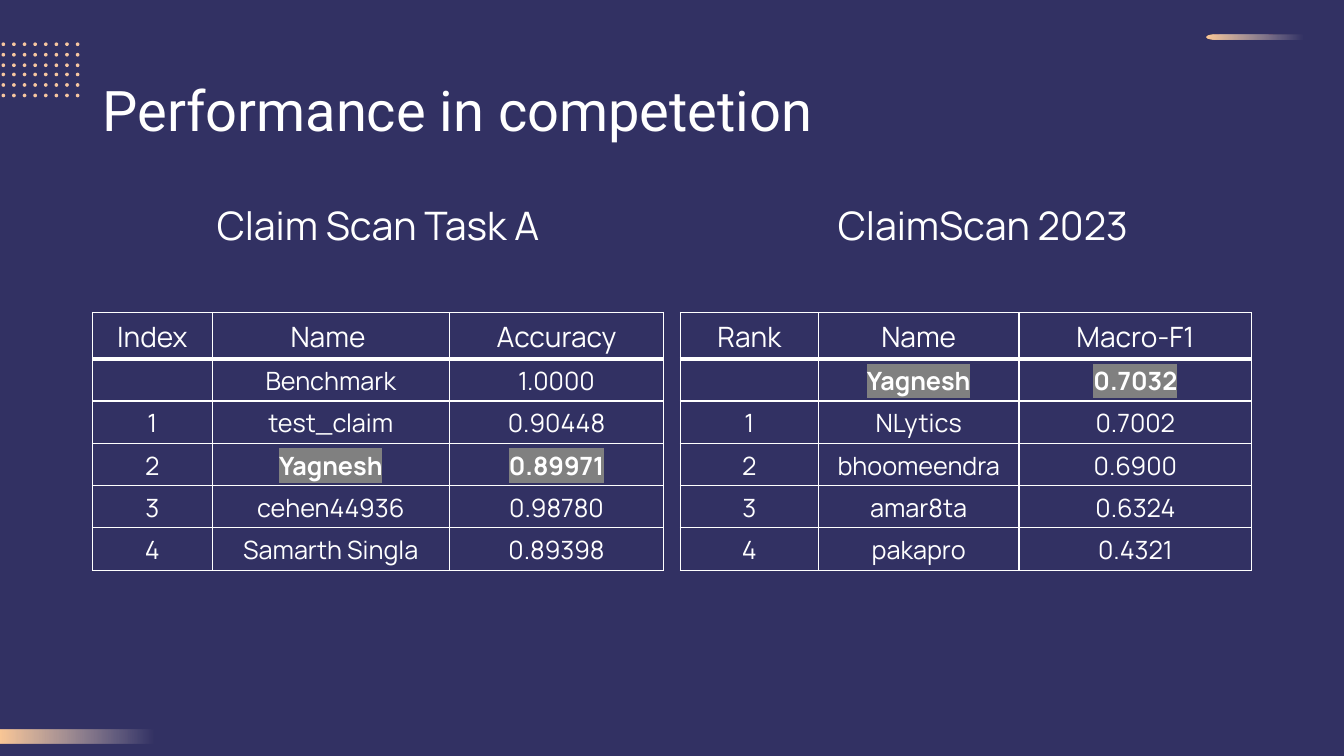
import math

from lxml import etree
from pptx import Presentation
from pptx import util as u
from pptx.dml.color import RGBColor
from pptx.enum import shapes, text
from pptx.oxml.ns import qn

COLORS = {"navy": "323163", "white": "FFFFFF", "peach": "FCC896",
          "dot": "F7C7A0", "blush": "F7E7E1", "mark": "808080"}
TASK_A = [
    ["Index", "Name ", "Accuracy"],
    ["", "Benchmark", "1.0000"],
    ["1", "test_claim", "0.90448"],
    ["2", "Yagnesh", "0.89971"],
    ["3", "cehen44936", "0.98780"],
    ["4", "Samarth Singla", "0.89398"],
]
CLAIMSCAN = [
    ["Rank", "Name", "Macro-F1"],
    ["", "Yagnesh", "0.7032"],
    ["1", "NLytics", "0.7002"],
    ["2", "bhoomeendra", "0.6900"],
    ["3", "amar8ta", "0.6324"],
    ["4", "pakapro", "0.4321"],
]


def arc(cx, cy, rx, ry, start, end, steps):
    """Return points along an elliptical arc, angles in degrees."""
    angles = [math.radians(start + (end - start) * i / steps) for i in range(steps + 1)]
    return [(cx + rx * math.cos(a), cy + ry * math.sin(a)) for a in angles]


class Deck:
    """Holds the style and the current slide."""

    def __init__(self, width, height):
        self.prs = Presentation()
        self.prs.slide_width, self.prs.slide_height = u.Pt(width), u.Pt(height)

    def color(self, name):
        return RGBColor.from_string(COLORS[name])

    def add_slide(self):
        self.slide = self.prs.slides.add_slide(self.prs.slide_layouts[5])
        fill = self.slide.background.fill
        fill.solid()
        fill.fore_color.rgb = self.color("navy")

    def style(self, p, font, size, align, bold=False):
        p.alignment = align
        for r in p.runs:
            r.font.name, r.font.size, r.font.bold = font, u.Pt(size), bold
            r.font.color.rgb = self.color("white")

    def place(self, sp, left, top, width, height):
        sp.left, sp.top, sp.width, sp.height = map(u.Pt, (left, top, width, height))

    def plain(self, sp):
        sp.shadow.inherit = False
        sp.line.fill.background()

    def fade(self, sp):
        self.plain(sp)
        sp.fill.gradient()
        sp.fill.gradient_angle = 0
        start, end = sp.fill.gradient_stops
        start.position, end.position = 0, 0.7
        start.color.rgb, end.color.rgb = self.color("peach"), self.color("blush")
        clear = sp._element.spPr.findall(".//" + qn("a:srgbClr"))[-1]
        etree.SubElement(clear, qn("a:alpha"), val="0")

    def bar(self, *box):
        sp = self.slide.shapes.add_shape(shapes.MSO_SHAPE.RECTANGLE, *map(u.Pt, box))
        self.fade(sp)

    def outline(self, contours):
        builder = None
        for contour in contours:
            first, *rest = [(u.Pt(x), u.Pt(y)) for x, y in contour]
            if builder is None:
                builder = self.slide.shapes.build_freeform(*first, scale=1.0)
            else:
                builder.move_to(*first)
            builder.add_line_segments(rest, close=True)
        return builder.convert_to_shape()

    def streak(self, left, top, right, height, tip):
        mid = top + height / 2
        nose = arc(left + tip, mid, tip, height / 2, 90, 270, 12)
        self.fade(self.outline([nose + [(right, top), (right, top + height)]]))

    def dots(self, left, top, columns, rows, pitch_x, pitch_y, radius):
        sp = self.outline([
            arc(left + pitch_x * c, top + pitch_y * r, radius, radius, 0, 330, 11)
            for r in range(rows) for c in range(columns)])
        self.plain(sp)
        sp.fill.solid()
        sp.fill.fore_color.rgb = self.color("dot")

    def title(self, words, *box):
        sp = self.slide.shapes.title
        self.place(sp, *box)
        tf = sp.text_frame
        tf.text = words
        tf.vertical_anchor = text.MSO_ANCHOR.MIDDLE
        tf.paragraphs[0].line_spacing = 0.9
        self.style(tf.paragraphs[0], "Roboto", 40, text.PP_ALIGN.LEFT)

    def heading(self, words, *box):
        tf = self.slide.shapes.add_textbox(*map(u.Pt, box)).text_frame
        tf.word_wrap = True
        tf.text = words
        p = tf.paragraphs[0]
        p.line_spacing, p.space_before = 0.9, u.Pt(10)
        self.style(p, "Manrope", 28, text.PP_ALIGN.CENTER)

    def highlight(self, r):
        mark = etree.Element(qn("a:highlight"))
        etree.SubElement(mark, qn("a:srgbClr"), val=COLORS["mark"])
        r.font._element.find(qn("a:solidFill")).addnext(mark)

    def borders(self, cell, top, bottom):
        tc_pr = cell._tc.get_or_add_tcPr()
        for i, (side, width) in enumerate([("L", 1), ("R", 1), ("T", top), ("B", bottom)]):
            ln = etree.Element(qn("a:ln" + side), w=str(u.Pt(width)))
            fill = etree.SubElement(ln, qn("a:solidFill"))
            etree.SubElement(fill, qn("a:srgbClr"), val=COLORS["white"])
            tc_pr.insert(i, ln)

    def table(self, rows, left, top, widths, marked_row):
        heights = [33.1] + [30.2] * (len(rows) - 1)
        box = map(u.Pt, (left, top, sum(widths), sum(heights)))
        table = self.slide.shapes.add_table(len(rows), len(widths), *box).table
        table.horz_banding = False
        for column, width in zip(table.columns, widths):
            column.width = u.Pt(width)
        for i, row in enumerate(rows):
            table.rows[i].height = u.Pt(heights[i])
            for j, words in enumerate(row):
                cell = table.cell(i, j)
                cell.text = words
                cell.fill.background()
                if i and j == 2:
                    cell.vertical_anchor = text.MSO_ANCHOR.MIDDLE
                self.borders(cell, 3 if i == 1 else 1, 3 if i == 0 else 1)
                p = cell.text_frame.paragraphs[0]
                marked = i == marked_row and j > 0
                self.style(p, "Manrope", 18 if i else 20, text.PP_ALIGN.CENTER, marked)
                if marked:
                    self.highlight(p.runs[0])


def main():
    deck = Deck(960, 540)
    deck.add_slide()
    deck.bar(-1.4, 521.3, 159, 10.1)
    deck.streak(861.8, 24.5, 960, 3.6, 5.8)
    for top in (31.6, 53.2):
        deck.dots(2.4, top, 8, 3, 7.58, 7.5, 1.3)
    deck.title("Performance in competetion", 66, 28.8, 828, 104.4)
    deck.heading("Claim Scan Task A", 66, 144, 408.2, 342.7)
    deck.table(TASK_A, 66, 223.2, [85.7, 169.2, 153.3], 3)
    deck.heading("ClaimScan 2023", 498, 144, 408.2, 342.7)
    deck.table(CLAIMSCAN, 486, 223.2, [98.6, 143.3, 166.3], 1)
    deck.prs.save("out.pptx")


if __name__ == "__main__":
    main()
